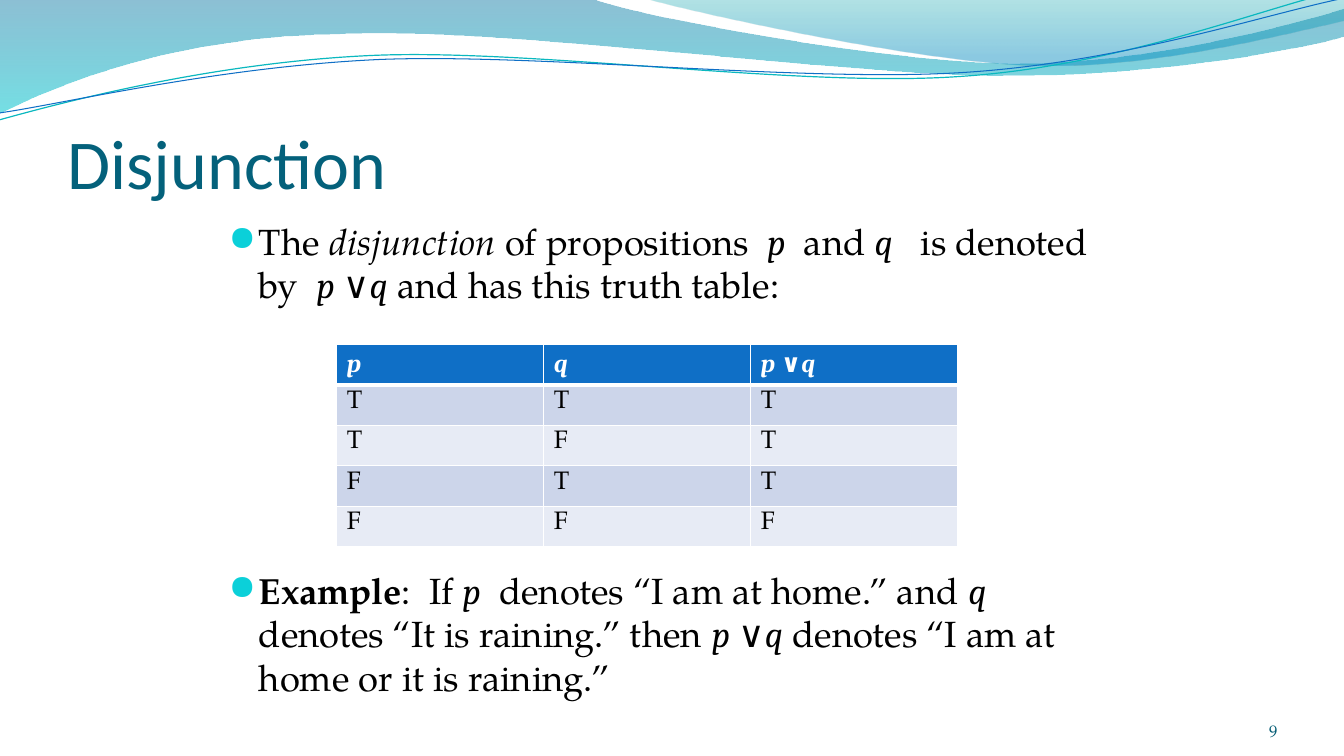
from dataclasses import dataclass

import pptx
import pptx.dml.color
import pptx.enum.text
import pptx.oxml
import pptx.oxml.ns
import pptx.util
from pptx.util import Inches

NS = pptx.oxml.ns.nsdecls("a")
qn = pptx.oxml.ns.qn
ALIGN = pptx.enum.text.PP_ALIGN
ANCHOR = pptx.enum.text.MSO_ANCHOR


@dataclass
class Theme:
    heading: str = "Calibri"
    body: str = "TeX Gyre Pagella"
    math: str = "Cambria"
    symbol: str = "OpenSymbol"
    title_pt: int = 50
    body_pt: int = 26
    table_pt: int = 18
    number_pt: int = 12
    title: str = "04617B"
    number: str = "045D75"
    text: str = "000000"
    white: str = "FFFFFF"
    bullet: str = "0BD0D9"
    header: str = "0F6FC6"
    bands: tuple = ("CCD5EA", "E7EBF5")
    teal_line: str = "0AB8BF"
    blue_line: str = "0F6FC6"
    # gradient stops: position, colour, opacity in percent
    wide_wave: tuple = ((0, "0074A1", 45), (1, "00C6CF", 55))
    right_wave: tuple = ((0, "00A1A9", 30), (0.8, "008BBF", 45))


def rgb(color):
    return pptx.dml.color.RGBColor.from_string(color)


class Deck:
    def __init__(self, theme):
        self.theme = theme
        self.prs = pptx.Presentation()
        self.prs.slide_width, self.prs.slide_height = Inches(13.33), Inches(7.5)
        self.slide = self.prs.slides.add_slide(self.prs.slide_layouts[6])

    def freeform(self, start, segments, closed):
        """Outline of straight (x, y) and cubic (x1, y1, x2, y2, x, y) segments."""
        points = [(Inches(seg[i]), Inches(seg[i + 1]))
                  for seg in segments for i in range(0, len(seg), 2)]
        builder = self.slide.shapes.build_freeform(*map(Inches, start), scale=1.0)
        builder.add_line_segments(points, close=closed)
        sp = builder.convert_to_shape()
        sp.shadow.inherit = False
        lines = iter(list(sp._element.iter(qn("a:lnTo"))))
        for seg in segments:
            group = [next(lines) for _ in range(len(seg) // 2)]
            if len(group) == 3:
                cubic = pptx.oxml.parse_xml(f"<a:cubicBezTo {NS}/>")
                group[0].addprevious(cubic)
                for line in group:
                    cubic.append(line[0])
                    line.getparent().remove(line)
        return sp

    def wave(self, start, segments, stops):
        sp = self.freeform(start, segments, True)
        sp.line.fill.background()
        sp.fill.gradient()
        sp.fill.gradient_angle = 270
        for stop, (position, color, _) in zip(sp.fill.gradient_stops, stops):
            stop.position = position
            stop.color.rgb = rgb(color)
        colors = sp._element.spPr.iter(qn("a:srgbClr"))
        for clr, (_, _, opacity) in zip(colors, stops):
            clr.append(pptx.oxml.parse_xml(f'<a:alpha {NS} val="{opacity * 1000}"/>'))

    def curve(self, start, segments, color, width):
        sp = self.freeform(start, segments, False)
        sp.fill.background()
        sp.line.color.rgb = rgb(color)
        sp.line.width = pptx.util.Pt(width)

    def runs(self, p, pieces, size, color, bold=False):
        """Each piece is (text, style): text, heading, italic, bold, math or symbol."""
        th = self.theme
        for text, style in pieces:
            r = p.add_run()
            r.text = text
            font = r.font
            font.name = {"math": th.math, "symbol": th.math,
                         "heading": th.heading}.get(style, th.body)
            font.size = pptx.util.Pt(size)
            font.bold = bold or style == "bold"
            font.italic = style in ("math", "italic")
            font.color.rgb = rgb(color)

    def text_box(self, box, insets, anchor=ANCHOR.TOP):
        tf = self.slide.shapes.add_textbox(*map(Inches, box)).text_frame
        tf.word_wrap = True
        tf.vertical_anchor = anchor
        (tf.margin_left, tf.margin_top,
         tf.margin_right, tf.margin_bottom) = map(Inches, insets)
        return tf

    def label(self, box, insets, piece, size, color, align):
        p = self.text_box(box, insets, ANCHOR.BOTTOM).paragraphs[0]
        p.alignment = align
        self.runs(p, [piece], size, color)

    def bullets(self, box, items, gap):
        """Bulleted paragraphs, with gap points between them."""
        th = self.theme
        tf = self.text_box(box, (0.1, 0.05, 0.1, 0.05))
        for i, pieces in enumerate(items):
            p = tf.add_paragraph() if i else tf.paragraphs[0]
            pPr = p._p.get_or_add_pPr()
            pPr.set("marL", str(Inches(0.3)))
            pPr.set("indent", str(-Inches(0.3)))
            for tag in (f'<a:buClr {NS}><a:srgbClr val="{th.bullet}"/></a:buClr>',
                        f'<a:buSzPct {NS} val="95000"/>',
                        f'<a:buFont {NS} typeface="{th.symbol}"/>',
                        f'<a:buChar {NS} char="●"/>'):
                pPr.append(pptx.oxml.parse_xml(tag))
            if i:
                p.space_before = pptx.util.Pt(gap)
            self.runs(p, pieces, th.body_pt, th.text)

    def borders(self, cell, header):
        tcPr = cell._tc.get_or_add_tcPr()
        for side in "LRTB":
            width = pptx.util.Pt(3 if header and side == "B" else 1)
            tcPr.append(pptx.oxml.parse_xml(
                f'<a:ln{side} {NS} w="{width}"><a:solidFill>'
                f'<a:srgbClr val="{self.theme.white}"/></a:solidFill></a:ln{side}>'))

    def truth_table(self, box, rows, header_height, row_height):
        th = self.theme
        table = self.slide.shapes.add_table(
            len(rows), len(rows[0]), *map(Inches, box)).table
        for i, row in enumerate(rows):
            header = i == 0
            table.rows[i].height = Inches(header_height if header else row_height)
            for j, pieces in enumerate(row):
                cell = table.cell(i, j)
                self.borders(cell, header)
                cell.fill.solid()
                cell.fill.fore_color.rgb = rgb(th.header if header else th.bands[(i - 1) % 2])
                self.runs(cell.text_frame.paragraphs[0], pieces, th.table_pt,
                          th.white if header else th.text, bold=header)


def main():
    th = Theme()
    deck = Deck(th)

    deck.wave((0, 0), [(5.87, -0.01), (6.34, 0.17, 8.85, 0.63, 10.11, 0.63),
                       (11.38, 0.63, 12.78, 0.26, 13.33, 0.09), (13.35, 0.36),
                       (13.11, 0.44, 11.6, 0.76, 9.94, 0.75),
                       (8.29, 0.75, 5.09, 0.28, 3.43, 0.34),
                       (1.72, 0.36, 0.61, 0.83, -0.01, 1.13)], th.wide_wave)
    deck.wave((6.39, -0.01), [(6.79, 0.11, 9.09, 0.62, 10.25, 0.65),
                              (11.41, 0.69, 12.82, 0.32, 13.33, 0.21),
                              (13.33, 0)], th.right_wave)
    deck.curve((-0.01, 1.19), [(0.64, 1.01, 2.11, 0.62, 3.69, 0.55),
                               (5.27, 0.48, 7.9, 0.87, 9.5, 0.76),
                               (11.1, 0.66, 12.52, 0.08, 13.31, -0.1)], th.teal_line, 0.85)
    deck.curve((0, 1.12), [(0.63, 1.03, 2.18, 0.66, 3.78, 0.59),
                           (5.37, 0.53, 7.96, 0.82, 9.55, 0.72),
                           (11.15, 0.62, 12.55, 0.14, 13.34, -0.02)], th.blue_line, 0.75)

    deck.label((0.67, 0.77, 12, 1.25), (0, 0.05, 0, 0), ("Disjunction", "heading"),
               th.title_pt, th.title, ALIGN.LEFT)

    p, q = [("p", "math")], [("q", "math")]
    p_or_q = [("p ", "math"), ("∨", "symbol"), ("q", "math")]
    definition = [("The ", "text"), ("disjunction", "italic"), (" of propositions  ", "text"),
                  *p, ("  and ", "text"), *q, ("   is denoted by  ", "text"),
                  *p_or_q, (" and has this truth table:", "text")]
    example = [("Example", "bold"), (":  If ", "text"), *p,
               ("  denotes “I am at home.” and ", "text"), *q,
               ("  denotes “It is raining.” then ", "text"), *p_or_q,
               (" denotes “I am at home or it is raining.”", "text")]
    deck.bullets((2.17, 2.12, 9, 5.13), [definition, example], gap=187)

    values = [[[("T" if v else "F", "text")] for v in (a, b, a or b)]
              for a in (True, False) for b in (True, False)]
    deck.truth_table((3.34, 3.42, 6.16, 1.77), [[p, q, p_or_q], *values], 0.37, 0.35)

    deck.label((11.56, 6.95, 1.11, 0.4), (0, 0, 0, 0), ("9", "text"),
               th.number_pt, th.number, ALIGN.RIGHT)
    deck.prs.save("out.pptx")


if __name__ == "__main__":
    main()
